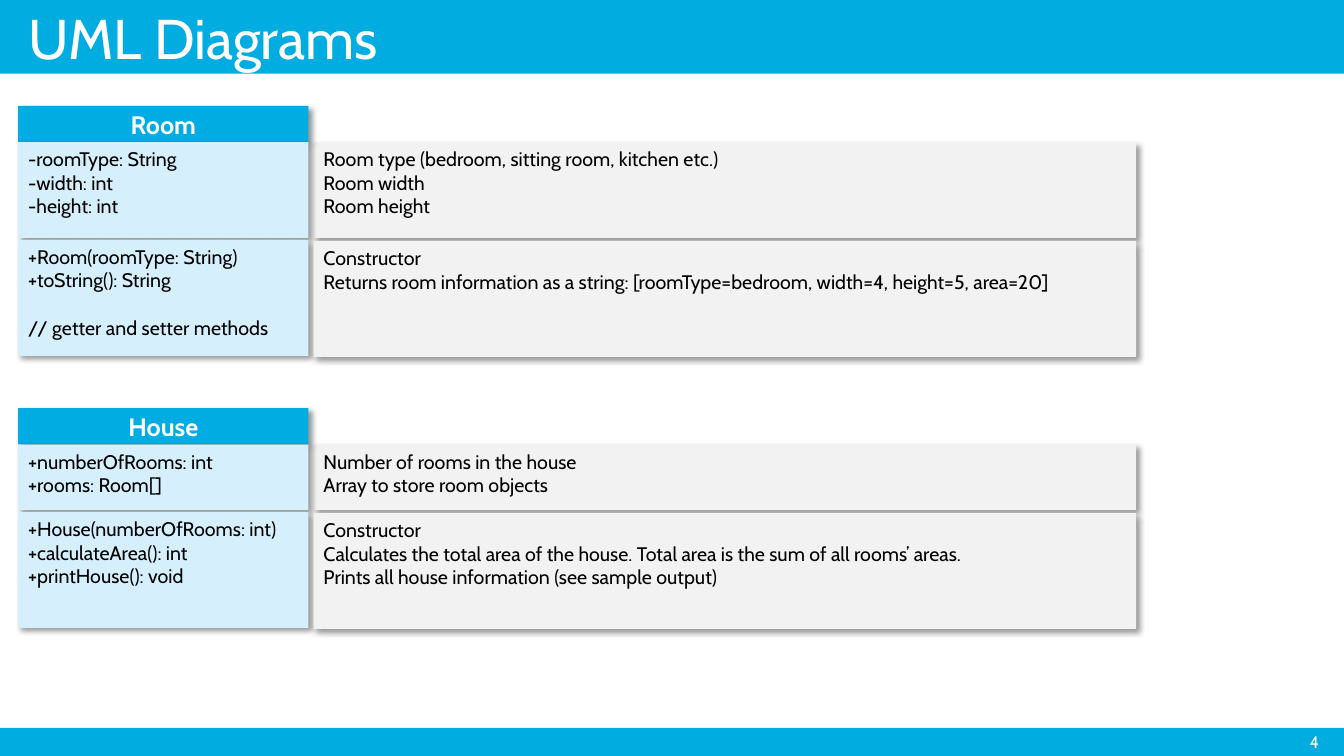
from dataclasses import dataclass

from lxml.etree import SubElement
from pptx import Presentation
from pptx.dml.color import RGBColor
from pptx.enum.shapes import MSO_SHAPE
from pptx.enum.text import MSO_ANCHOR, MSO_AUTO_SIZE, PP_ALIGN
from pptx.oxml.ns import qn
from pptx.shapes.autoshape import Shape
from pptx.slide import Slide
from pptx.util import Inches, Pt

FONT = "Cabin"
BAR, HEAD, CELL, NOTE = "00ACE0", "00ACE1", "D5F0FC", "F2F2F2"
WHITE, BLACK = "FFFFFF", "000000"
LEFT, WIDE = 0.18, 2.88
NOTE_LEFT, NOTE_WIDE = 3.11, 8.16
HEAD_TALL, CALL_TALL = 0.36, 1.15


@dataclass
class Box:
    left: float
    top: float
    width: float
    height: float


@dataclass
class Style:
    size: int
    color: str
    bold: bool = False
    align: PP_ALIGN = PP_ALIGN.LEFT
    anchor: MSO_ANCHOR = MSO_ANCHOR.TOP


@dataclass
class Model:
    name: str
    top: float
    tall: float  # height of the field row
    fields: list[str]
    field_notes: list[str]
    calls: list[str]
    call_notes: list[str]


BODY = Style(14, BLACK)
NAME = Style(18, WHITE, True, PP_ALIGN.CENTER, MSO_ANCHOR.MIDDLE)
TITLE = Style(40, WHITE)
PAGE = Style(12, WHITE, align=PP_ALIGN.RIGHT, anchor=MSO_ANCHOR.MIDDLE)

MODELS = [
    Model(
        "Room", 1.05, 0.95,
        ["-roomType: String", "-width: int", "-height: int"],
        ["Room type (bedroom, sitting room, kitchen etc.)", "Room width", "Room height"],
        ["+Room(roomType: String)", "+toString(): String", "// getter and setter methods"],
        ["Constructor",
         "Returns room information as a string: "
         "[roomType=bedroom, width=4, height=5, area=20]"],
    ),
    Model(
        "House", 4.05, 0.65,
        ["+numberOfRooms: int", "+rooms: Room[]"],
        ["Number of rooms in the house", "Array to store room objects"],
        ["+House(numberOfRooms: int)", "+calculateArea(): int", "+printHouse(): void"],
        ["Constructor",
         "Calculates the total area of the house. "
         "Total area is the sum of all rooms’ areas.",
         "Prints all house information (see sample output)"],
    ),
]


def color(code: str) -> RGBColor:
    return RGBColor.from_string(code)


def place(box: Box) -> tuple[int, int, int, int]:
    return Inches(box.left), Inches(box.top), Inches(box.width), Inches(box.height)


def write(shape: Shape, lines: list[str], style: Style) -> None:
    frame = shape.text_frame
    frame.word_wrap = True
    frame.auto_size = MSO_AUTO_SIZE.NONE
    frame.vertical_anchor = style.anchor
    frame.text = "\n".join(lines)
    for para in frame.paragraphs:
        para.alignment = style.align
        font = para.font
        font.name, font.size, font.bold = FONT, Pt(style.size), style.bold
        font.color.rgb = color(style.color)
        # Comment lines stand one line apart from the methods
        if para.text.startswith("//"):
            para.space_before = Pt(17)


def block(slide: Slide, box: Box, fill: str) -> Shape:
    shape = slide.shapes.add_shape(MSO_SHAPE.RECTANGLE, *place(box))
    shape.fill.solid()
    shape.fill.fore_color.rgb = color(fill)
    shape.line.fill.background()
    shape.shadow.inherit = False
    return shape


def shade(shape: Shape) -> None:
    effects = shape.element.spPr.find(qn("a:effectLst"))
    outer = SubElement(effects, qn("a:outerShdw"), blurRad=str(Pt(4)), dist=str(Pt(3)),
                       dir="2700000", algn="tl", rotWithShape="0")
    tint = SubElement(outer, qn("a:srgbClr"), val=BLACK)
    SubElement(tint, qn("a:alpha"), val="40000")


def card(slide: Slide, box: Box, fill: str, lines: list[str], style: Style = BODY) -> None:
    shape = block(slide, box, fill)
    shade(shape)
    write(shape, lines, style)


def draw(slide: Slide, model: Model) -> None:
    row = model.top + HEAD_TALL
    low = row + model.tall + 0.02
    card(slide, Box(NOTE_LEFT, row, NOTE_WIDE, model.tall), NOTE, model.field_notes)
    card(slide, Box(LEFT, model.top, WIDE, HEAD_TALL), HEAD, [model.name], NAME)
    card(slide, Box(LEFT, row, WIDE, model.tall), CELL, model.fields)
    card(slide, Box(LEFT, low, WIDE, CALL_TALL), CELL, model.calls)
    card(slide, Box(NOTE_LEFT, low + 0.01, NOTE_WIDE, CALL_TALL), NOTE, model.call_notes)


def main() -> None:
    deck = Presentation()
    deck.slide_width, deck.slide_height = Inches(13.33), Inches(7.5)
    slide = deck.slides.add_slide(deck.slide_layouts[5])

    # Bars at top and bottom
    block(slide, Box(0, -0.01, 13.33, 0.74), BAR)
    block(slide, Box(0, 7.22, 13.33, 0.28), BAR)

    # Title, brought in front of its bar
    title = slide.shapes.title
    title.element.getparent().append(title.element)
    title.left, title.top, title.width, title.height = place(Box(LEFT, 0.06, 12.99, 0.65))
    write(title, ["UML Diagrams"], TITLE)
    title.text_frame.paragraphs[0].line_spacing = 0.9

    # Page number
    page = slide.shapes.add_textbox(*place(Box(12.57, 7.24, 0.61, 0.24)))
    write(page, ["4"], PAGE)

    # Class diagrams with their notes
    for model in MODELS:
        draw(slide, model)

    deck.save("out.pptx")


if __name__ == "__main__":
    main()
